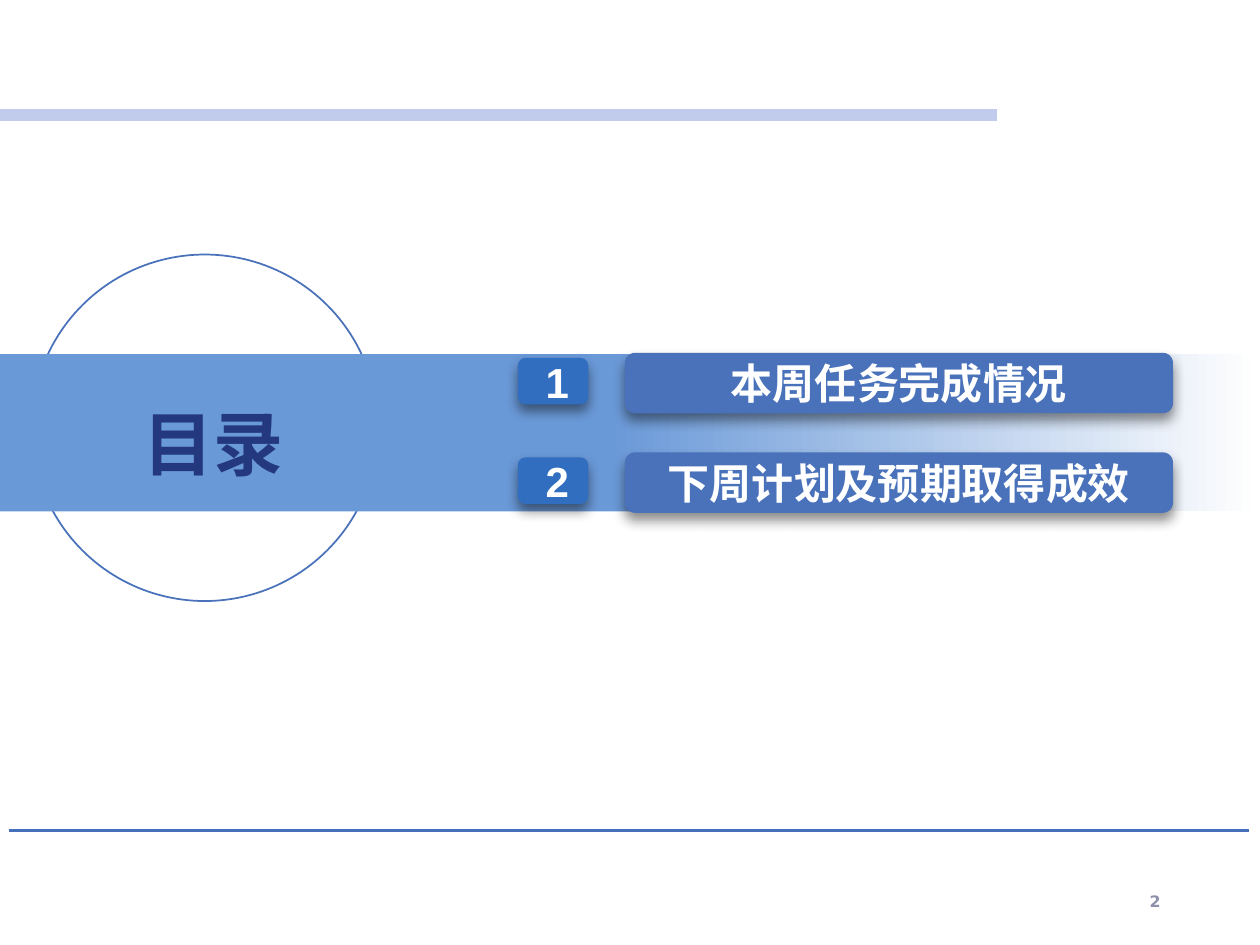
from dataclasses import dataclass

from lxml import etree
from pptx import Presentation
from pptx.dml.color import RGBColor
from pptx.enum.shapes import MSO_CONNECTOR, MSO_SHAPE
from pptx.enum.text import MSO_ANCHOR, PP_ALIGN
from pptx.oxml.ns import qn
from pptx.util import Inches, Pt

RECTANGLE, OVAL = MSO_SHAPE.RECTANGLE, MSO_SHAPE.OVAL
ROUNDED = MSO_SHAPE.ROUNDED_RECTANGLE
STRAIGHT = MSO_CONNECTOR.STRAIGHT
TOP, MIDDLE = MSO_ANCHOR.TOP, MSO_ANCHOR.MIDDLE
LEFT, CENTER, RIGHT = PP_ALIGN.LEFT, PP_ALIGN.CENTER, PP_ALIGN.RIGHT


@dataclass(frozen=True)
class Theme:
    band: str = "6A99D8"
    bar: str = "4972BB"
    badge: str = "326EBF"
    top_rule: str = "C1CCEC"
    bottom_rule: str = "456FBA"
    title: str = "23387D"
    page_number: str = "8D91AA"
    white: str = "FFFFFF"
    shadow: str = "000000"
    font: str = "DejaVu Sans"
    number_font: str = "Arial"
    title_size: int = 40
    item_size: int = 24
    page_size: int = 9


@dataclass(frozen=True)
class Area:
    left: float
    top: float
    width: float
    height: float

    def lengths(self) -> tuple:
        return tuple(map(Inches, (self.left, self.top, self.width, self.height)))


@dataclass(frozen=True)
class AgendaItem:
    number: str
    label: str


THEME = Theme()
ITEMS = [AgendaItem("1", "本周任务完成情况"), AgendaItem("2", "下周计划及预期取得成效")]
FIRST_ITEM_TOP, ITEM_STEP = 2.8, 0.79
BAND_TOP, BAND_WIDTH, BAND_HEIGHT = 2.81, 5.17, 1.25


def color(value: str) -> RGBColor:
    return RGBColor.from_string(value)


def add_shape(shapes, kind, area: Area, fill=None, line=None, shadow=False):
    shape = shapes.add_shape(kind, *area.lengths())
    shape.shadow.inherit = False
    if fill:
        shape.fill.solid()
        shape.fill.fore_color.rgb = color(fill)
    else:
        shape.fill.background()
    if line:
        shape.line.color.rgb = color(line)
        shape.line.width = Pt(1)
    else:
        shape.line.fill.background()
    if shadow:
        add_shadow(shape)
    return shape


def add_shadow(shape) -> None:
    effects = shape._element.spPr.find(qn("a:effectLst"))
    outer = etree.SubElement(
        effects, qn("a:outerShdw"), blurRad=str(Pt(7)), dist=str(Pt(4)),
        dir=str(90 * 60000), algn="ctr", rotWithShape="0")
    tint = etree.SubElement(outer, qn("a:srgbClr"), val=THEME.shadow)
    etree.SubElement(tint, qn("a:alpha"), val="46000")


def add_rule(shapes, left: float, right: float, y: float, tint: str, weight: float):
    rule = shapes.add_connector(STRAIGHT, Inches(left), Inches(y), Inches(right), Inches(y))
    rule.line.color.rgb = color(tint)
    rule.line.width = Pt(weight)
    etree.SubElement(rule._element.spPr, qn("a:effectLst"))


def write_text(box, text: str, *, size: int, tint: str, font: str = THEME.font,
               align=LEFT, anchor=MIDDLE, wrap: bool = True, indent: float = 0.1) -> None:
    frame = box.text_frame
    frame.word_wrap = wrap
    frame.vertical_anchor = anchor
    frame.margin_left = Inches(indent)
    para = frame.paragraphs[0]
    para.alignment = align
    span = para.add_run()
    span.text = text
    span.font.size = Pt(size)
    span.font.bold = True
    span.font.name = font
    span.font.color.rgb = color(tint)
    etree.SubElement(span.font._element, qn("a:ea"), typeface=font)


def add_agenda_item(page, item: AgendaItem, top: float) -> None:
    shapes = page.shapes.add_group_shape().shapes
    add_shape(shapes, ROUNDED, Area(4.11, top + 0.04, 0.56, 0.37), THEME.badge, shadow=True)
    number = shapes.add_textbox(*Area(4.14, top - 0.02, 0.48, 0.5).lengths())
    write_text(number, item.number, size=THEME.item_size, tint=THEME.white,
               font=THEME.number_font, anchor=TOP, wrap=False, indent=0.19)
    bar = add_shape(shapes, ROUNDED, Area(4.96, top, 4.35, 0.48), THEME.bar, shadow=True)
    write_text(bar, item.label, size=THEME.item_size, tint=THEME.white, align=CENTER)


def main() -> None:
    deck = Presentation()
    deck.slide_width, deck.slide_height = Inches(10), Inches(7.5)
    page = deck.slides.add_slide(deck.slide_layouts[6])
    shapes = page.shapes

    # Circle behind a band that fades out to the right
    add_shape(shapes, OVAL, Area(0.25, 2.02, 2.75, 2.75), line=THEME.bar)
    add_shape(shapes, RECTANGLE, Area(0, BAND_TOP, BAND_WIDTH, BAND_HEIGHT), THEME.band)
    fade = add_shape(shapes, RECTANGLE,
                     Area(10 - BAND_WIDTH, BAND_TOP, BAND_WIDTH, BAND_HEIGHT), THEME.band)
    fade.fill.gradient()
    fade.fill.gradient_angle = 0
    for stop, tint in zip(fade.fill.gradient_stops, (THEME.band, THEME.white)):
        stop.color.rgb = color(tint)

    # Rules above and below
    add_rule(shapes, 0, 7.91, 0.91, THEME.top_rule, 7)
    add_rule(shapes, 0.07, 9.91, 6.59, THEME.bottom_rule, 2)

    # Title and page number
    title = shapes.add_textbox(*Area(1.04, 2.95, 1.35, 1.12).lengths())
    write_text(title, "目录", size=THEME.title_size, tint=THEME.title)
    page_number = shapes.add_textbox(*Area(7.06, 6.95, 2.25, 0.4).lengths())
    write_text(page_number, "2", size=THEME.page_size, tint=THEME.page_number, align=RIGHT)

    # Agenda
    for index, item in enumerate(ITEMS):
        add_agenda_item(page, item, FIRST_ITEM_TOP + index * ITEM_STEP)

    deck.save("out.pptx")


if __name__ == "__main__":
    main()
